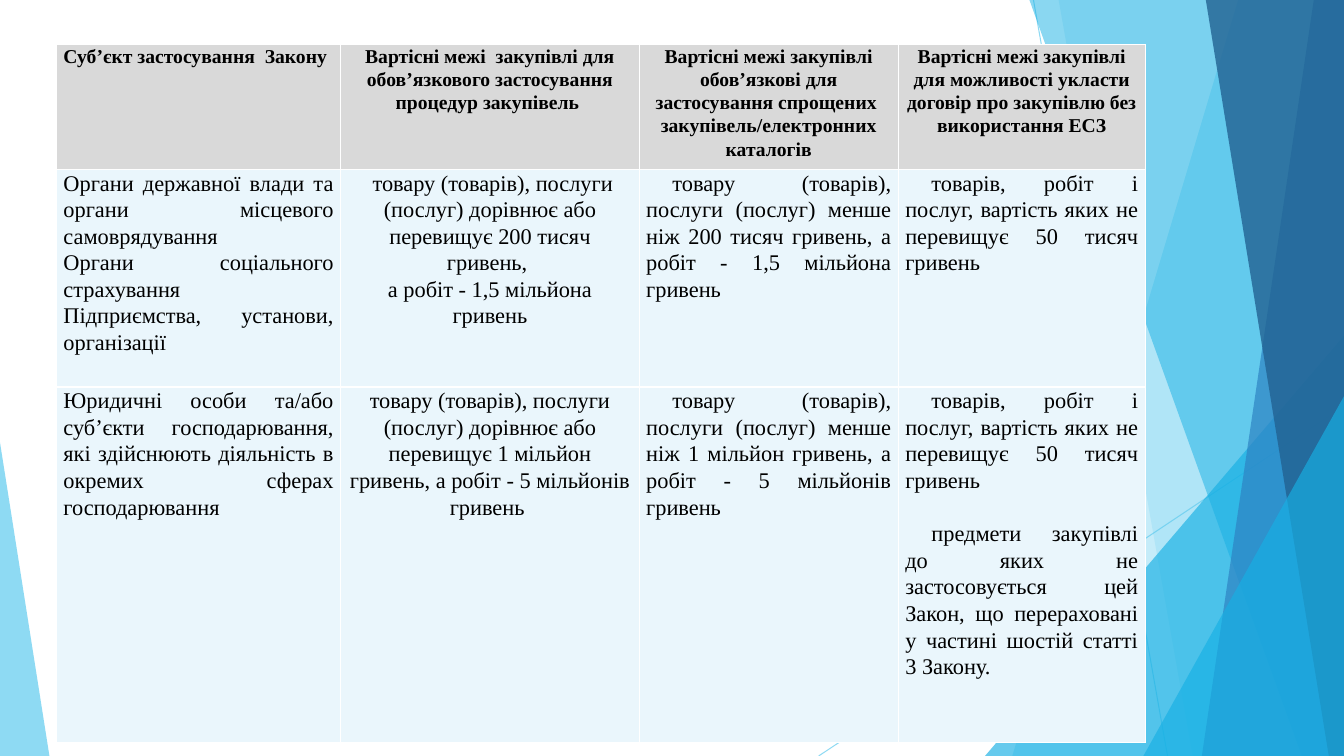
import pptx
import pptx.util
import pptx.dml.color
import pptx.enum.shapes
import pptx.enum.text
import pptx.oxml.ns
from lxml import etree

Inches = pptx.util.Inches
Pt = pptx.util.Pt
qn = pptx.oxml.ns.qn
CENTER = pptx.enum.text.PP_ALIGN.CENTER
JUSTIFY = pptx.enum.text.PP_ALIGN.JUSTIFY
LEFT = pptx.enum.text.PP_ALIGN.LEFT

WIDTH, HEIGHT = 13.33, 7.5
SKY, CYAN, BLUE, NAVY = "5FCBEF", "17B0E4", "2E83C3", "226292"
HEADER_FILL, BODY_FILL = "D9D9D9", "EAF6FC"

THIN_LINES = [((10.25, 0), (11.58, HEIGHT)), ((WIDTH, 4.03), (8.12, HEIGHT))]
# Each band reaches the right edge: top x, bottom x, colour, opacity in percent.
BANDS_BEHIND = [(12.28, 10.04, SKY, 36), (10.5, 11.83, SKY, 20)]
BANDS_FRONT = [(10.21, 12.91, CYAN, 50), (13.03, 11.92, BLUE, 70), (11.96, 13.18, NAVY, 80)]

COLUMN_WIDTHS = [2.82, 2.96, 2.57, 2.45]
ROW_HEIGHTS = [1.24, 2.16, 3.53]
COLUMN_ALIGNS = [JUSTIFY, CENTER, JUSTIFY, JUSTIFY]
INDENTED_COLUMNS = (2, 3)
PARAGRAPH_GAP = Pt(19)

HEADINGS = [
    "Суб’єкт застосування  Закону",
    "Вартісні межі  закупівлі для обов’язкового застосування процедур закупівель ",
    "Вартісні межі закупівлі обов’язкові для застосування спрощених  "
    "закупівель/електронних каталогів",
    "Вартісні межі закупівлі для можливості укласти договір про закупівлю без використання ЕСЗ",
]
BODY_ROWS = [
    [
        ["Органи державної влади та органи місцевого самоврядування ",
         "Органи соціального страхування ",
         "Підприємства, установи, організації"],
        [" товару (товарів), послуги (послуг) дорівнює або перевищує 200 тисяч гривень, ",
         "а робіт - 1,5 мільйона гривень"],
        ["товару (товарів), послуги (послуг) менше ніж 200 тисяч гривень, "
         "а робіт - 1,5 мільйона гривень"],
        ["товарів, робіт і послуг, вартість яких не перевищує 50 тисяч гривень"],
    ],
    [
        ["Юридичні особи та/або суб’єкти господарювання, які здійснюють діяльність "
         "в окремих сферах господарювання"],
        ["товару (товарів), послуги (послуг) дорівнює або перевищує 1 мільйон гривень, "
         "а робіт - 5 мільйонів гривень "],
        ["товару (товарів), послуги (послуг) менше ніж 1 мільйон гривень, "
         "а робіт - 5 мільйонів гривень"],
        ["товарів, робіт і послуг, вартість яких не перевищує 50 тисяч гривень ",
         "предмети закупівлі до яких не застосовується цей Закон, "
         "що перераховані у частині шостій статті 3 Закону."],
    ],
]


def color(hex_text):
    return pptx.dml.color.RGBColor.from_string(hex_text)


def set_opacity(element, percent):
    """Apply an opacity to the first solid colour inside an element."""
    rgb = next(element.iter(qn("a:srgbClr")))
    etree.SubElement(rgb, qn("a:alpha"), val=str(percent * 1000))


def add_thin_line(slide, start, end):
    points = [Inches(value) for value in start + end]
    line = slide.shapes.add_connector(pptx.enum.shapes.MSO_CONNECTOR.STRAIGHT, *points)
    line.line.color.rgb = color(SKY)
    line.line.width = Pt(0.75)
    properties = line._element.spPr
    set_opacity(properties, 70)
    etree.SubElement(properties, qn("a:effectLst"))


def paint(shape, hex_text, opacity):
    shape.shadow.inherit = False
    shape.fill.solid()
    shape.fill.fore_color.rgb = color(hex_text)
    set_opacity(shape._element.spPr, opacity)
    shape.line.fill.background()


def add_band(slide, top_x, bottom_x, hex_text, opacity):
    corners = [(top_x, 0), (WIDTH, 0), (WIDTH, HEIGHT), (bottom_x, HEIGHT)]
    points = [(Inches(x), Inches(y)) for x, y in corners]
    builder = slide.shapes.build_freeform(*points[0])
    builder.add_line_segments(points[1:], close=True)
    paint(builder.convert_to_shape(), hex_text, opacity)


def add_triangle(slide, left, top, width, apex, hex_text, opacity):
    """Add a triangle that stands on the bottom edge of the slide."""
    shape = slide.shapes.add_shape(
        pptx.enum.shapes.MSO_SHAPE.ISOSCELES_TRIANGLE,
        Inches(left), Inches(top), Inches(width), Inches(HEIGHT - top))
    shape.adjustments[0] = apex
    paint(shape, hex_text, opacity)


def add_backdrop(slide):
    for start, end in THIN_LINES:
        add_thin_line(slide, start, end)
    for band in BANDS_BEHIND:
        add_band(slide, *band)
    add_triangle(slide, 9.77, 3.33, 3.56, 1, CYAN, 66)
    for band in BANDS_FRONT:
        add_band(slide, *band)
    add_triangle(slide, 11.34, 3.93, 1.99, 1, CYAN, 66)
    add_triangle(slide, 0, 4.39, 0.49, 0, SKY, 70)


def add_borders(cell):
    properties = cell._tc.get_or_add_tcPr()
    for side in ("lnL", "lnR", "lnT", "lnB"):
        border = etree.SubElement(properties, qn("a:" + side), w=str(Pt(1)))
        fill = etree.SubElement(border, qn("a:solidFill"))
        etree.SubElement(fill, qn("a:srgbClr"), val="FFFFFF")


def fill_cell(cell, texts, fill, size, bold, align, indent=0, gap=0):
    add_borders(cell)
    cell.fill.solid()
    cell.fill.fore_color.rgb = color(fill)
    cell.margin_left = cell.margin_right = Inches(0.07)
    cell.margin_top = cell.margin_bottom = 0
    frame = cell.text_frame
    for index, text in enumerate(texts):
        para = frame.add_paragraph() if index else frame.paragraphs[0]
        para.text = text
        para.alignment = align
        para.line_spacing = 1.07
        if index and gap:
            para.space_before = gap
        if indent:
            para._p.get_or_add_pPr().set("indent", str(Inches(indent)))
        para.font.name = "Times New Roman"
        para.font.size = Pt(size)
        para.font.bold = bold
        para.font.color.rgb = color("000000")


def add_limits_table(slide):
    frame = slide.shapes.add_table(
        len(ROW_HEIGHTS), len(COLUMN_WIDTHS), Inches(0.56), Inches(0.44),
        Inches(sum(COLUMN_WIDTHS)), Inches(sum(ROW_HEIGHTS)))
    table = frame.table
    table.horz_banding = False
    for column, width in zip(table.columns, COLUMN_WIDTHS):
        column.width = Inches(width)
    for row, height in zip(table.rows, ROW_HEIGHTS):
        row.height = Inches(height)
    for number, heading in enumerate(HEADINGS):
        align = CENTER if number else LEFT
        fill_cell(table.cell(0, number), [heading], HEADER_FILL, 14, True, align)
    for row_number, body_row in enumerate(BODY_ROWS, start=1):
        for number, texts in enumerate(body_row):
            indent = 0.26 if number in INDENTED_COLUMNS else 0
            gap = PARAGRAPH_GAP if indent else 0
            fill_cell(table.cell(row_number, number), texts, BODY_FILL, 16, False,
                      COLUMN_ALIGNS[number], indent, gap)


def main():
    deck = pptx.Presentation()
    deck.slide_width, deck.slide_height = Inches(WIDTH), Inches(HEIGHT)
    slide = deck.slides.add_slide(deck.slide_layouts[6])
    add_backdrop(slide)
    add_limits_table(slide)
    deck.save("out.pptx")


if __name__ == "__main__":
    main()
